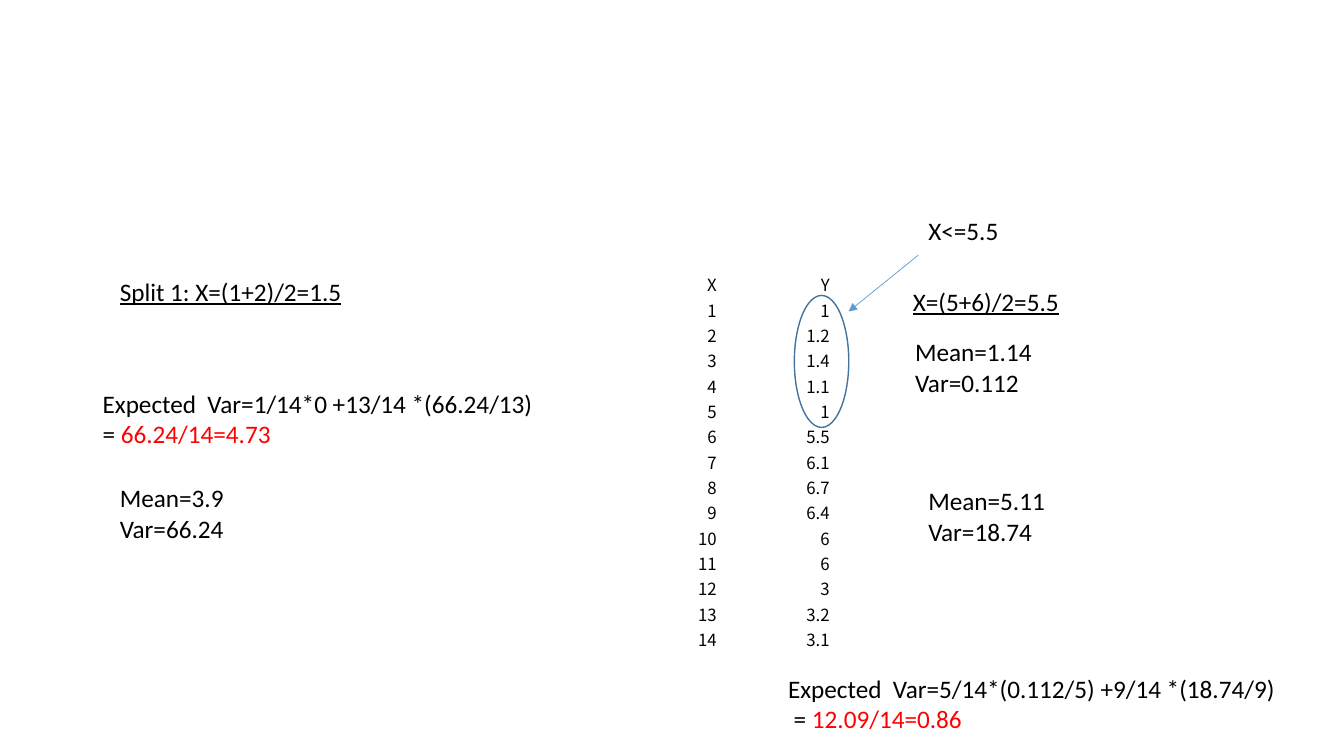
from pptx import Presentation
from pptx.util import Pt
from pptx.dml.color import RGBColor
from pptx.enum import shapes, text
from pptx.oxml.ns import qn
from lxml import etree

BLACK, RED = "000000", "FF0000"
ys = ["1", "1.2", "1.4", "1.1", "1", "5.5", "6.1", "6.7", "6.4",
      "6", "6", "3", "3.2", "3.1"]
rows = [("X", "Y")] + [(str(n), y) for n, y in enumerate(ys, 1)]

notes = [
    (78.5, 193.7, 175, 29, True, [["Split 1: X=(1+2)/2=1.5"]]),
    (66.2, 273.6, 329.8, 51, False,
     [["Expected  Var=1/14*0 +13/14 *(66.24/13) "], ["= ", "66.24/14=4.73"]]),
    (78.5, 341.3, 89.3, 73, False, [["Mean=3.9"], ["Var=66.24"]]),
    (645, 200.9, 120.2, 29, True, [["X=(5+6)/2=5.5"]]),
    (646.6, 236.9, 98.6, 73, False, [["Mean=1.14"], ["Var=0.112"]]),
    (656, 343.4, 98.6, 73, False, [["Mean=5.11"], ["Var=18.74"]]),
    (555.8, 477.4, 366.5, 51, False,
     [["Expected  Var=5/14*(0.112/5) +9/14 *(18.74/9)"],
      [" = ", "12.09/14=0.86"]]),
    (656, 150.5, 64.8, 29, False, [["X<=5.5"]]),
]


def color(code):
    return RGBColor.from_string(code)


def style(font, size, name):
    font.size, font.name = Pt(size), name
    font.color.rgb = color(BLACK)


def note(left, top, width, height, under, lines):
    box = slide.shapes.add_textbox(Pt(left), Pt(top), Pt(width), Pt(height))
    frame = box.text_frame
    frame.word_wrap = False
    frame.auto_size = text.MSO_AUTO_SIZE.SHAPE_TO_FIT_TEXT
    for i, parts in enumerate(lines):
        para = frame.add_paragraph() if i else frame.paragraphs[0]
        style(para.font, 18, "Calibri")
        for j, part in enumerate(parts):
            run = para.add_run()
            run.text = part
            style(run.font, 18, "Calibri")
            run.font.color.rgb = color(RED if j else BLACK)
            if under:
                run.font.underline = True


deck = Presentation()
deck.slide_width, deck.slide_height = Pt(960), Pt(540)
slide = deck.slides.add_slide(deck.slide_layouts[6])

high = 17.95
table = slide.shapes.add_table(len(rows), 2, Pt(432), Pt(193.7),
                               Pt(161.3), Pt(high * len(rows))).table
table.first_row = table.horz_banding = False
for row, pair in zip(table.rows, rows):
    row.height = Pt(high)
    for cell, value in zip(row.cells, pair):
        cell.fill.background()
        cell.vertical_anchor = text.MSO_ANCHOR.MIDDLE
        cell.margin_left = cell.margin_right = cell.margin_top = Pt(0.7)
        cell.margin_bottom = 0
        para = cell.text_frame.paragraphs[0]
        para.text = value
        para.alignment = text.PP_ALIGN.RIGHT
        style(para.font, 12, "Noto Sans CJK TC")
        style(para.runs[0].font, 12, "Noto Sans CJK TC")

for item in notes:
    note(*item)

ring = slide.shapes.add_shape(shapes.MSO_SHAPE.OVAL, Pt(567.4), Pt(211),
                              Pt(38.9), Pt(94.3))
ring.shadow.inherit = False
ring.fill.background()
ring.line.color.rgb = color("43739E")
ring.line.width = Pt(1)

arrow = slide.shapes.add_connector(shapes.MSO_CONNECTOR.STRAIGHT, Pt(656),
                                   Pt(182.2), Pt(606.2), Pt(222.5))
arrow.line.color.rgb = color("5B9BD5")
arrow.line.width = Pt(0.5)
etree.SubElement(arrow.line._get_or_add_ln(), qn("a:tailEnd"), type="triangle")
etree.SubElement(arrow._element.spPr, qn("a:effectLst"))

deck.save("out.pptx")
